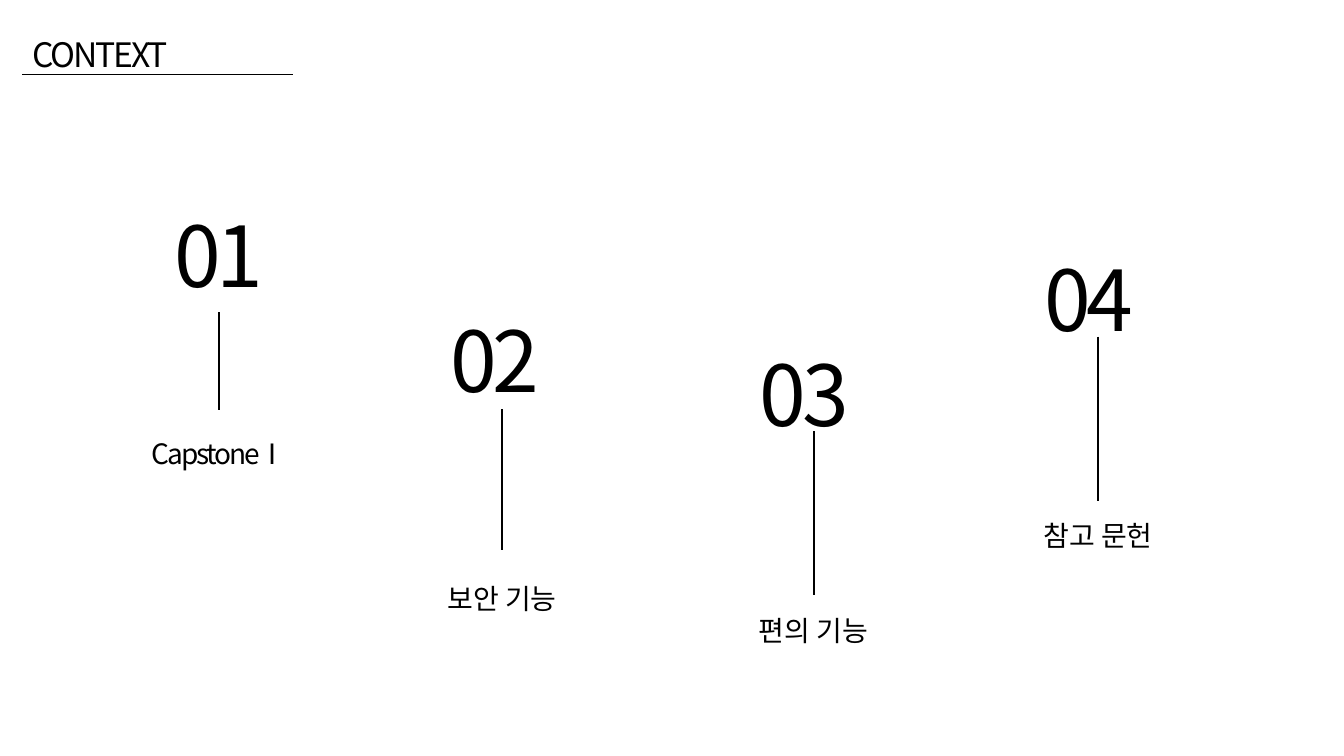
from lxml import etree
from pptx import Presentation
from pptx import util as u
from pptx.dml.color import RGBColor
from pptx.enum import shapes, text
from pptx.oxml.ns import qn

BLACK = RGBColor(0, 0, 0)
FONT = "Noto Sans CJK KR"
W, H = u.Inches(13.33), u.Inches(7.5)
NUMBER_W, NUMBER_H = 9.08, 19.73

# Number, label, box, number shift, line start, line end, label height, label tracking
ITEMS = [
    ("01", "CapstoneⅠ", (3.65, 24.4, 25.28, 44.4), 1.5, 16.93, 29.87, 14, -1.5),
    ("02", "보안 기능", (28.21, 38.4, 18.3, 42.93), 0.94, 15.73, 34.4, 7.33, 0),
    ("03", "편의 기능", (47.94, 42.8, 25.2, 42.8), 0.79, 14.27, 35.87, 7.33, 0),
    ("04", "참고 문헌", (69.1, 30.27, 25.2, 42.8), 0.79, 14.27, 36, 7.33, 0),
]


def across(share):
    """Turn a percentage of the slide width into a length."""
    return u.Emu(round(W * share / 100))


def down(share):
    """Turn a percentage of the slide height into a length."""
    return u.Emu(round(H * share / 100))


def add_text(s, box, words, size, tracking=0):
    """Add a one-paragraph text box and return its shape."""
    x, y, w, h = box
    sp = s.shapes.add_textbox(across(x), down(y), across(w), down(h))
    tf = sp.text_frame
    tf.word_wrap = True
    tf.auto_size = text.MSO_AUTO_SIZE.SHAPE_TO_FIT_TEXT
    tf.text = words
    r = tf.paragraphs[0].runs[0]
    r.font.name, r.font.size = FONT, u.Pt(size)
    r.font.color.rgb = BLACK
    rPr = r.font._element
    if tracking:
        rPr.set("spc", str(round(tracking * 100)))
    etree.SubElement(rPr, qn("a:ea")).set("typeface", FONT)
    return sp


def add_line(s, x1, y1, x2, y2, width):
    """Add a plain black line between two points."""
    line = s.shapes.add_connector(
        shapes.MSO_CONNECTOR.STRAIGHT, across(x1), down(y1), across(x2), down(y2))
    line.line.color.rgb = BLACK
    line.line.width = u.Pt(width)
    etree.SubElement(line._element.spPr, qn("a:effectLst"))


def add_heading(s, box):
    """Place the slide title and the rule beneath it."""
    x, y, w, h = box
    add_text(s, box, "CONTEXT", 24, -1.5)
    add_line(s, x + 0.86 * w, y + 0.9 * h, x, y + 0.9 * h, 0.5)


def add_item(s, number, label, box, shift, start, end, label_h, tracking):
    """Place a number, a vertical line and a centred label in a box."""
    x, y, w, h = box
    axis = x + w / 2
    sp = add_text(s, (axis + shift - NUMBER_W / 2, y, NUMBER_W, NUMBER_H), number, 60, -3)
    sp.rotation = 90
    sp.text_frame._txBody.bodyPr.set("vert", "vert270")
    add_line(s, axis, y + start, axis, y + end, 1.25)
    sp = add_text(s, (x, y + h - label_h, w, label_h), label, 20, tracking)
    p = sp.text_frame.paragraphs[0]
    p.alignment = text.PP_ALIGN.CENTER
    p.line_spacing = 1.5


def main():
    """Build and save the contents slide."""
    prs = Presentation()
    prs.slide_width, prs.slide_height = W, H
    s = prs.slides.add_slide(prs.slide_layouts[6])
    add_heading(s, (1.65, 3.87, 23.4, 6.67))
    for item in ITEMS:
        add_item(s, *item)
    prs.save("out.pptx")


if __name__ == "__main__":
    main()
